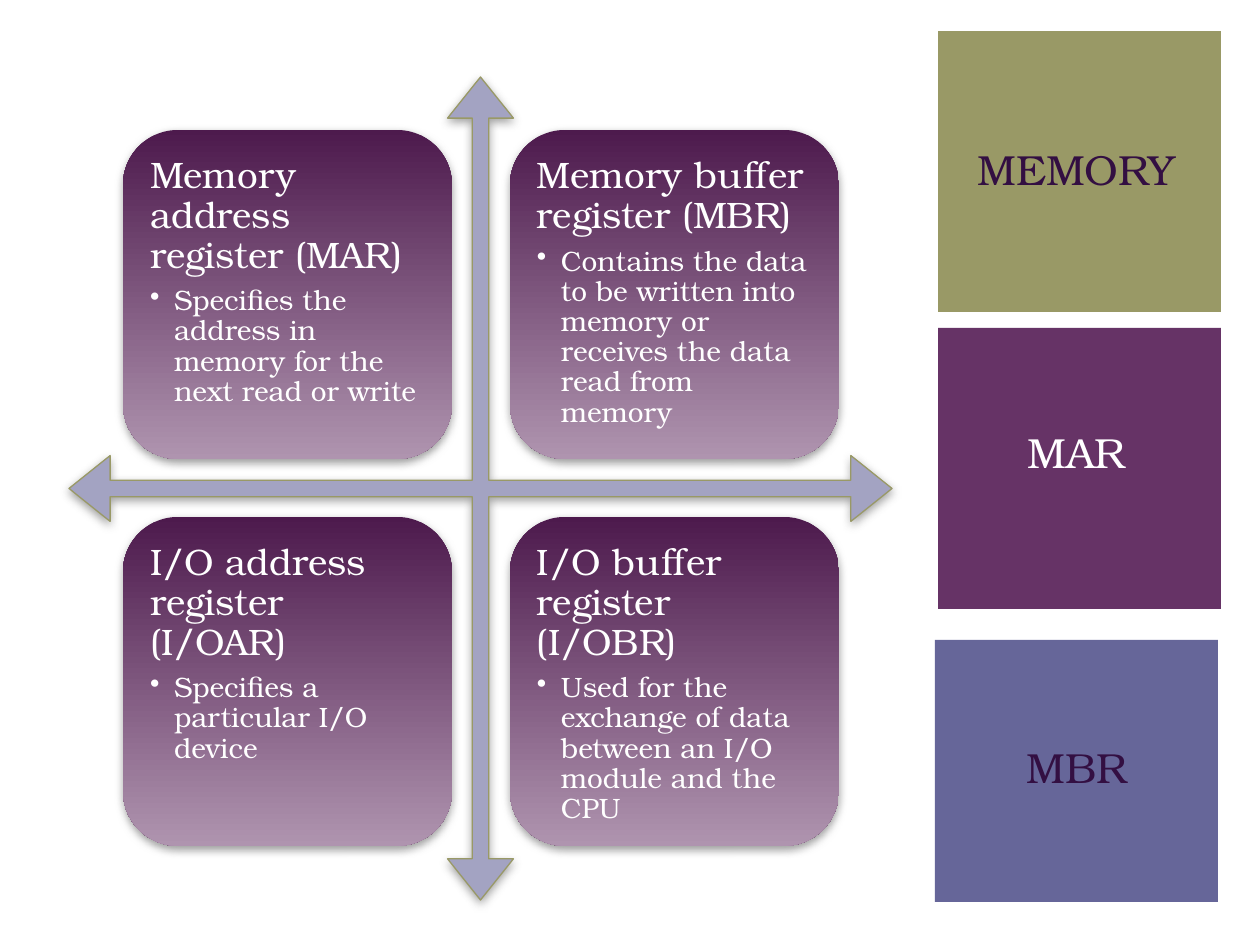
from dataclasses import dataclass
from lxml.etree import SubElement
from pptx import Presentation
from pptx.dml.color import RGBColor as RGB
from pptx.enum.shapes import MSO_SHAPE as Shape
from pptx.enum.text import MSO_ANCHOR as Anchor, PP_ALIGN as Align
from pptx.oxml.ns import qn
from pptx.util import Emu, Pt


@dataclass(frozen=True)
class Theme:
    font: str = "TeX Gyre Bonum"
    olive: str = "999966"
    plum: str = "663366"
    slate: str = "666699"
    arrow: str = "A3A3C2"
    tile_top: str = "4D1A4D"
    tile_bottom: str = "AF94AF"
    shadow: str = "808080"
    dark: str = "330F42"
    white: str = "FFFFFF"
    label_size: int = 24
    heading_size: int = 21
    body_size: int = 16


T = Theme()
EMU_PER_PX = 914400 / 126

TILES = [
    ("Memory address register (MAR)",
     "Specifies the address in memory for the next read or write"),
    ("Memory buffer register (MBR)",
     "Contains the data to be written into memory or receives the data read from memory"),
    ("I/O address register (I/OAR)", "Specifies a particular I/O device"),
    ("I/O buffer register (I/OBR)",
     "Used for the exchange of data between an I/O module and the CPU"),
]


def px(n):
    return Emu(round(n * EMU_PER_PX))


def add_block(s, kind, box):
    sp = s.shapes.add_shape(kind, *map(px, box))
    sp.shadow.inherit = False
    sp.line.fill.background()
    return sp


def paint(fill, color):
    fill.solid()
    fill.fore_color.rgb = RGB.from_string(color)


def style(p, size, color):
    for r in p.runs:
        r.font.name = T.font
        r.font.size = Pt(size)
        r.font.color.rgb = RGB.from_string(color)


def add_shadow(sp):
    effects = sp._element.spPr.find(qn("a:effectLst"))
    outer = SubElement(effects, qn("a:outerShdw"), blurRad=str(Pt(5)), dist=str(Pt(2)),
                       dir="5400000", rotWithShape="0")
    color = SubElement(outer, qn("a:srgbClr"), val=T.shadow)
    SubElement(color, qn("a:alpha"), val="75000")


def add_bullet(p, indent):
    pPr = p._p.get_or_add_pPr()
    pPr.set("marL", str(indent))
    pPr.set("indent", str(-indent))
    SubElement(pPr, qn("a:buChar"), char="•")


def add_tile(s, box, heading, detail):
    sp = add_block(s, Shape.ROUNDED_RECTANGLE, box)
    sp.fill.gradient()
    sp.fill.gradient_angle = 270
    for stop, color in zip(sp.fill.gradient_stops, (T.tile_top, T.tile_bottom)):
        stop.color.rgb = RGB.from_string(color)
    add_shadow(sp)
    tf = sp.text_frame
    tf.word_wrap = True
    tf.vertical_anchor = Anchor.TOP
    tf.margin_left = tf.margin_right = tf.margin_top = tf.margin_bottom = px(11)
    tf.text = f"{heading}\n{detail}"
    head, body = tf.paragraphs
    for p, size, after in ((head, T.heading_size, 6), (body, T.body_size, 2)):
        p.alignment = Align.LEFT
        p.line_spacing = 0.9
        p.space_after = Pt(after)
        style(p, size, T.white)
    body.level = 1
    add_bullet(body, px(24))


def add_matrix(s, left, top, side):
    sp = add_block(s, Shape.QUAD_ARROW, (left, top, side, side))
    for i, value in enumerate((0.02, 0.04, 0.05)):
        sp.adjustments[i] = value
    paint(sp.fill, T.arrow)
    paint(sp.line.fill, T.olive)
    sp.line.width = Pt(0.75)
    add_shadow(sp)
    inset, tile, step = 54, 329, 387
    for i, (heading, detail) in enumerate(TILES):
        row, col = divmod(i, 2)
        box = (left + inset + col * step, top + inset - 1 + row * step, tile, tile)
        add_tile(s, box, heading, detail)


def add_label(s, box, text, color, anchor):
    tf = s.shapes.add_textbox(*map(px, box)).text_frame
    tf.word_wrap = True
    tf.vertical_anchor = anchor
    tf.text = text
    p = tf.paragraphs[0]
    p.alignment = Align.CENTER
    style(p, T.label_size, color)


def add_sidebar(s, left, top, width):
    panels = [
        (3, 0, 281, T.olive, "MEMORY", 53, 116, T.dark, Anchor.BOTTOM),
        (3, 297, 281, T.plum, "MAR", 389, 63, T.white, Anchor.TOP),
        (0, 609, 262, T.slate, "MBR", 704, 63, T.dark, Anchor.TOP),
    ]
    for dx, dy, height, fill, text, text_dy, text_height, color, anchor in panels:
        sp = add_block(s, Shape.RECTANGLE, (left + dx, top + dy, width, height))
        paint(sp.fill, fill)
        add_label(s, (left, top + text_dy, width, text_height), text, color, anchor)


def main():
    prs = Presentation()
    prs.slide_width, prs.slide_height = px(1260), px(945)
    s = prs.slides.add_slide(prs.slide_layouts[6])
    add_matrix(s, 69, 77, 823)
    add_sidebar(s, 935, 31, 283)
    prs.save("out.pptx")


if __name__ == "__main__":
    main()
